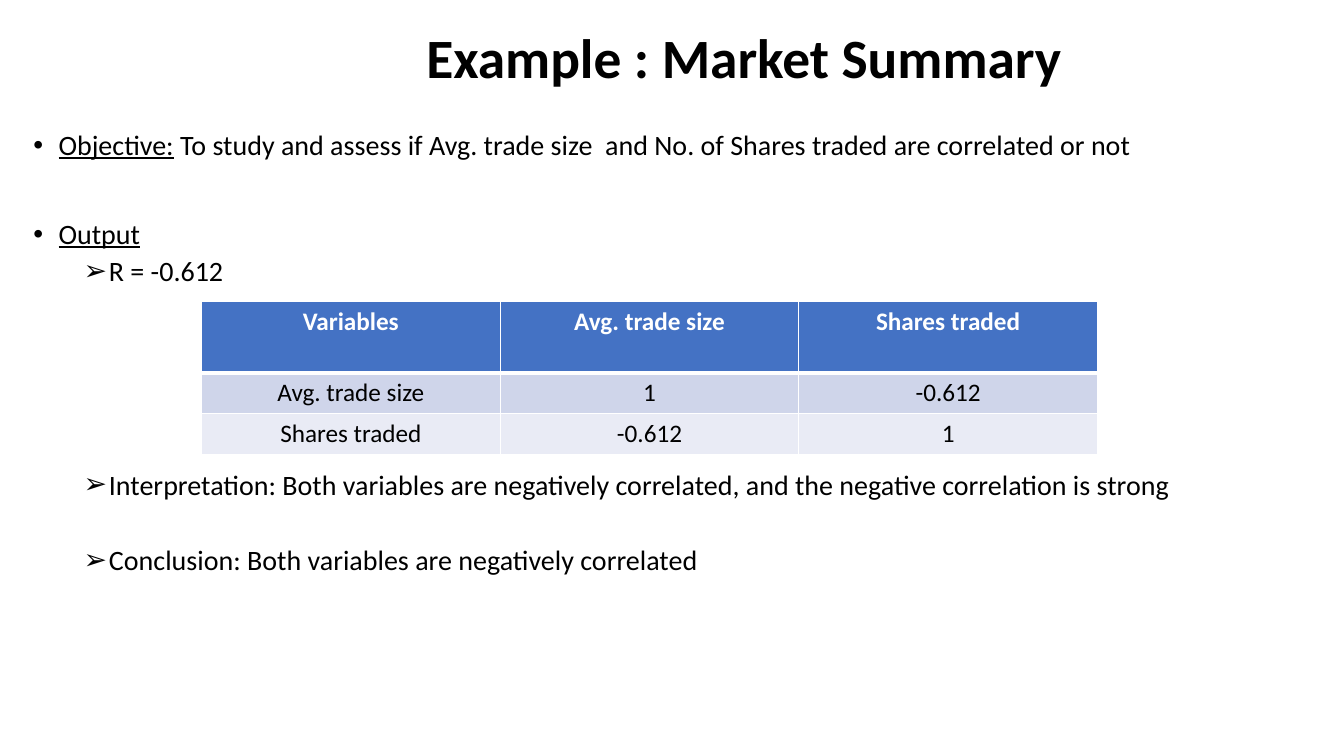
import dataclasses

import lxml.etree
import pptx
import pptx.dml.color
import pptx.enum.text
import pptx.oxml.ns
import pptx.util

Pt = pptx.util.Pt
Color = pptx.dml.color.RGBColor.from_string
Align = pptx.enum.text.PP_ALIGN
Anchor = pptx.enum.text.MSO_ANCHOR


@dataclasses.dataclass(frozen=True)
class Theme:
    """Colours, font and type sizes of the slide."""
    font: str = "Calibri"
    black: str = "000000"
    white: str = "FFFFFF"
    head: str = "4472C4"
    bands: tuple = ("CFD5EA", "E9EBF5")
    title: float = 39.6
    body: float = 20
    cell: float = 18


@dataclasses.dataclass(frozen=True)
class Item:
    """One list entry: underlined lead, plain text, level and gap above."""
    lead: str
    text: str
    level: int
    gap: float


@dataclasses.dataclass(frozen=True)
class Box:
    """A frame in points."""
    left: float
    top: float
    width: float
    height: float


THEME = Theme()
TITLE = Box(117.4, 21.6, 828, 43.2)
BODY = Box(16.6, 90, 928.8, 450)
TABLE = Box(144, 215.3, 640, 109.4)
HEAD_ROW, ROW = 51, 29.2
BULLETS = ("\u2022", "\u27a2")
INDENTS = (18, 54)
HANG = 18

ITEMS = (
    Item("Objective:", " To study and assess if Avg. trade size  and No. of Shares "
         "traded are correlated or not", 0, 10),
    Item("Output", "", 0, 42),
    Item("", "R = -0.612", 1, 5),
    Item("", "Interpretation: Both variables are negatively correlated, "
         "and the negative correlation is strong", 1, 131),
    Item("", "Conclusion: Both variables are negatively correlated", 1, 32),
)
CELLS = (
    ("Variables", "Avg. trade size", "Shares traded"),
    ("Avg. trade size", "1", "-0.612"),
    ("Shares traded", "-0.612", "1"),
)


def node(up, tag: str, **attrs: str):
    """Append a drawing element to its parent."""
    return lxml.etree.SubElement(up, pptx.oxml.ns.qn(tag), attrs)


def style(run, size: float, color: str, bold: bool = False) -> None:
    """Give a run its font, size, colour and weight."""
    run.font.name = THEME.font
    run.font.size = Pt(size)
    run.font.bold = bold
    run.font.color.rgb = Color(color)


def place(shape, box: Box, anchor) -> None:
    """Move a placeholder and fix its text frame."""
    shape.left, shape.top = Pt(box.left), Pt(box.top)
    shape.width, shape.height = Pt(box.width), Pt(box.height)
    frame = shape.text_frame
    frame.word_wrap = True
    frame.auto_size = pptx.enum.text.MSO_AUTO_SIZE.NONE
    frame.vertical_anchor = anchor


def draw_title(shape, text: str) -> None:
    """Write the centred heading."""
    place(shape, TITLE, Anchor.MIDDLE)
    shape.text_frame.text = text
    para = shape.text_frame.paragraphs[0]
    para.alignment = Align.CENTER
    para.line_spacing = 0.9
    style(para.runs[0], THEME.title, THEME.black, True)


def draw_item(para, item: Item) -> None:
    """Write one bulleted entry."""
    para.text = item.lead or item.text
    if item.lead and item.text:
        para.add_run().text = item.text
    for run in para.runs:
        style(run, THEME.body, THEME.black)
    para.runs[0].font.underline = bool(item.lead)
    para.level = item.level
    para.alignment = Align.LEFT
    para.line_spacing = 0.9
    para.space_before = Pt(item.gap)
    para.space_after = Pt(0)
    props = para._p.get_or_add_pPr()
    props.set("marL", str(Pt(INDENTS[item.level])))
    props.set("indent", str(Pt(-HANG)))
    node(props, "a:buFont", typeface="Arial")
    node(props, "a:buChar", char=BULLETS[item.level])


def draw_list(shape, items: tuple) -> None:
    """Fill the body placeholder with all entries."""
    place(shape, BODY, Anchor.TOP)
    frame = shape.text_frame
    for i, item in enumerate(items):
        draw_item(frame.add_paragraph() if i else frame.paragraphs[0], item)


def edge(cell, side: str, width: float) -> None:
    """Draw one white cell border."""
    line = node(cell._tc.get_or_add_tcPr(), f"a:ln{side}", w=str(Pt(width)))
    node(node(line, "a:solidFill"), "a:srgbClr", val=THEME.white)


def draw_cell(cell, text: str, row: int) -> None:
    """Write and colour one cell according to its row."""
    top = row == 0
    cell.text_frame.text = text
    para = cell.text_frame.paragraphs[0]
    para.alignment = Align.CENTER
    style(para.runs[0], THEME.cell, THEME.white if top else THEME.black, top)
    for side, width in zip("LRTB", (1, 1, 3 if row == 1 else 1, 3 if top else 1)):
        edge(cell, side, width)
    cell.fill.solid()
    fill = THEME.head if top else THEME.bands[(row - 1) % len(THEME.bands)]
    cell.fill.fore_color.rgb = Color(fill)


def draw_table(slide, cells: tuple) -> None:
    """Add the correlation table."""
    frame = slide.shapes.add_table(
        len(cells), len(cells[0]), Pt(TABLE.left), Pt(TABLE.top),
        Pt(TABLE.width), Pt(TABLE.height))
    grid = frame.table
    for r, texts in enumerate(cells):
        grid.rows[r].height = Pt(ROW if r else HEAD_ROW)
        for c, text in enumerate(texts):
            draw_cell(grid.cell(r, c), text, r)


def main() -> None:
    """Build and save the slide."""
    deck = pptx.Presentation()
    deck.slide_width, deck.slide_height = Pt(960), Pt(540)
    slide = deck.slides.add_slide(deck.slide_layouts[1])
    draw_title(slide.shapes.title, "Example : Market Summary")
    draw_list(slide.placeholders[1], ITEMS)
    draw_table(slide, CELLS)
    deck.save("out.pptx")


main()
